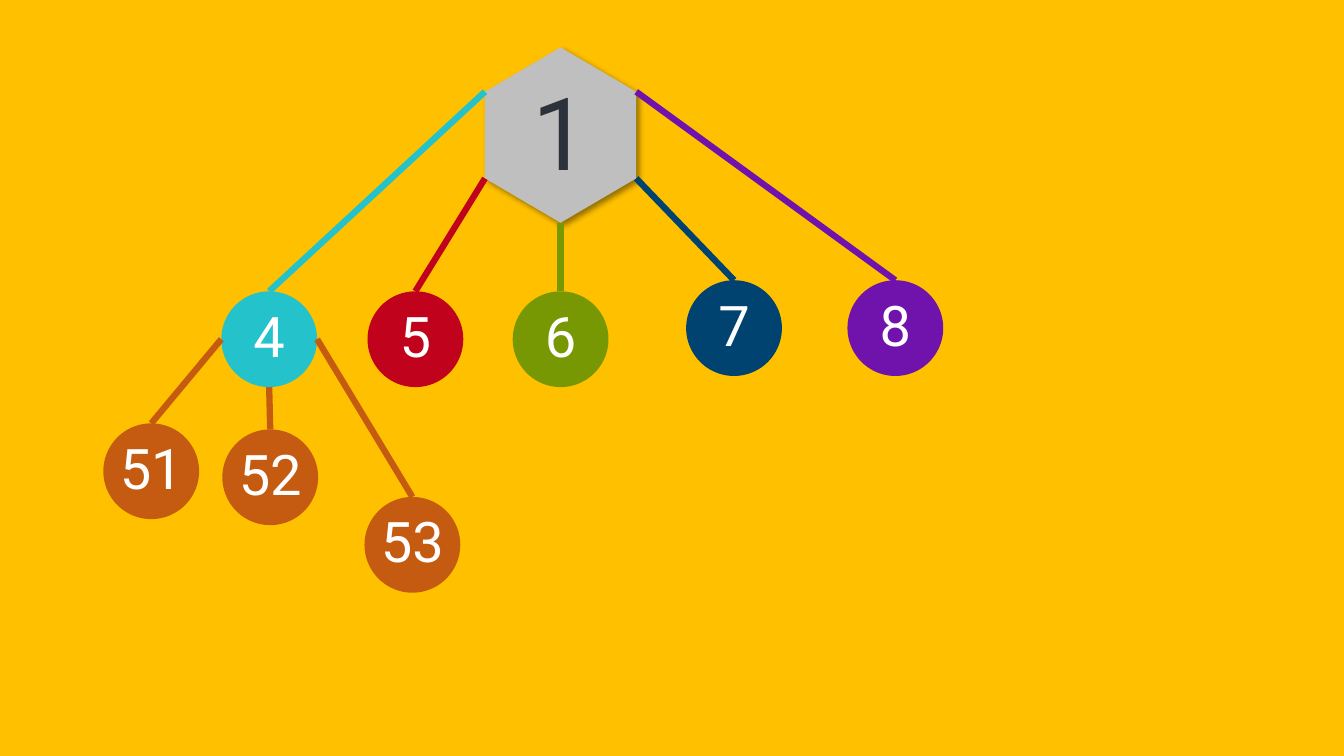
from pptx import Presentation
from pptx.dml.color import RGBColor
from pptx.enum import shapes, text
from pptx import util as u
from pptx.oxml import parse_xml
from pptx.oxml.ns import nsdecls
from lxml import etree

HUES = {
    "back": "FFC000", "root": "BFBFBF", "ink": "2B323B", "white": "FFFFFF",
    "aqua": "24C2CB", "red": "C0021C", "green": "779803",
    "navy": "004370", "plum": "7013AC", "rust": "C55A11",
}
SIZE = 0.95
HALF = SIZE / 2


class Tree:
    font = "Roboto"
    weight = 4.5

    def __init__(self, deck):
        self.slide = deck.slides.add_slide(deck.slide_layouts[6])
        self.paint(self.slide.background.fill, "back")

    def paint(self, fill, hue):
        fill.solid()
        fill.fore_color.rgb = RGBColor.from_string(HUES[hue])

    def label(self, shape, word, size, hue, pads, space=None):
        frame = shape.text_frame
        frame.word_wrap = False
        frame.vertical_anchor = text.MSO_ANCHOR.MIDDLE
        (frame.margin_left, frame.margin_top,
         frame.margin_right, frame.margin_bottom) = map(u.Inches, pads)
        para = frame.paragraphs[0]
        para.alignment = text.PP_ALIGN.CENTER
        if space:
            para.line_spacing = space
        run = para.add_run()
        run.text = word
        run.font.name = self.font
        run.font.size = u.Pt(size)
        run.font.color.rgb = RGBColor.from_string(HUES[hue])

    def root(self, points, word):
        spots = [(u.Inches(x), u.Inches(y)) for x, y in points]
        pen = self.slide.shapes.build_freeform(*spots[0])
        pen.add_line_segments(spots[1:], close=True)
        shape = pen.convert_to_shape()
        self.paint(shape.fill, "root")
        shape.line.fill.background()
        shape._element.spPr.append(parse_xml(
            f'<a:effectLst {nsdecls("a")}>'
            f'<a:outerShdw blurRad="{u.Pt(4)}" dist="{u.Pt(3)}" dir="2700000" '
            'algn="tl" rotWithShape="0"><a:srgbClr val="000000">'
            '<a:alpha val="40000"/></a:srgbClr></a:outerShdw></a:effectLst>'))
        self.label(shape, word, 72, "ink", (0.1, 0, 0.1, 0.1))

    def node(self, word, x, y, hue):
        shape = self.slide.shapes.add_shape(
            shapes.MSO_SHAPE.OVAL, u.Inches(x - HALF), u.Inches(y),
            u.Inches(SIZE), u.Inches(SIZE))
        shape.shadow.inherit = False
        self.paint(shape.fill, hue)
        shape.line.fill.background()
        self.label(shape, word, 40, "white", (0, 0, 0, 0), 0.9)

    def link(self, start, end, hue):
        line = self.slide.shapes.add_connector(
            shapes.MSO_CONNECTOR.STRAIGHT, *map(u.Inches, (*start, *end)))
        line.line.width = u.Pt(self.weight)
        line.line.color.rgb = RGBColor.from_string(HUES[hue])
        props = line._element.spPr
        etree.SubElement(props, props.nsmap["a"].join("{}") + "effectLst")

    def branch(self, kids):
        for word, x, y, hue, start in kids:
            self.link(start, (x, y), hue)
        for word, x, y, hue, start in kids:
            self.node(word, x, y, hue)


def main():
    deck = Presentation()
    deck.slide_width, deck.slide_height = u.Inches(13.33), u.Inches(7.5)
    tree = Tree(deck)

    left, mid, right = 4.81, 5.56, 6.31
    top, high, low, base = 0.47, 0.91, 1.77, 2.21
    tree.root([(left, low), (mid, base), (right, low),
               (right, high), (mid, top), (left, high)], "1")

    hub, row, lift = 2.67, 2.89, 2.78
    tree.branch([
        ("4", hub, row, "aqua", (left, high)),
        ("5", 4.12, row, "red", (left, low)),
        ("6", mid, row, "green", (mid, base)),
        ("7", 7.28, lift, "navy", (right, low)),
        ("8", 8.88, lift, "plum", (right, high)),
    ])
    tree.branch([
        ("51", 1.5, 4.2, "rust", (hub - HALF, row + HALF)),
        ("52", 2.68, 4.26, "rust", (hub, row + SIZE)),
        ("53", 4.09, 4.93, "rust", (hub + HALF, row + HALF)),
    ])
    deck.save("out.pptx")


if __name__ == "__main__":
    main()
